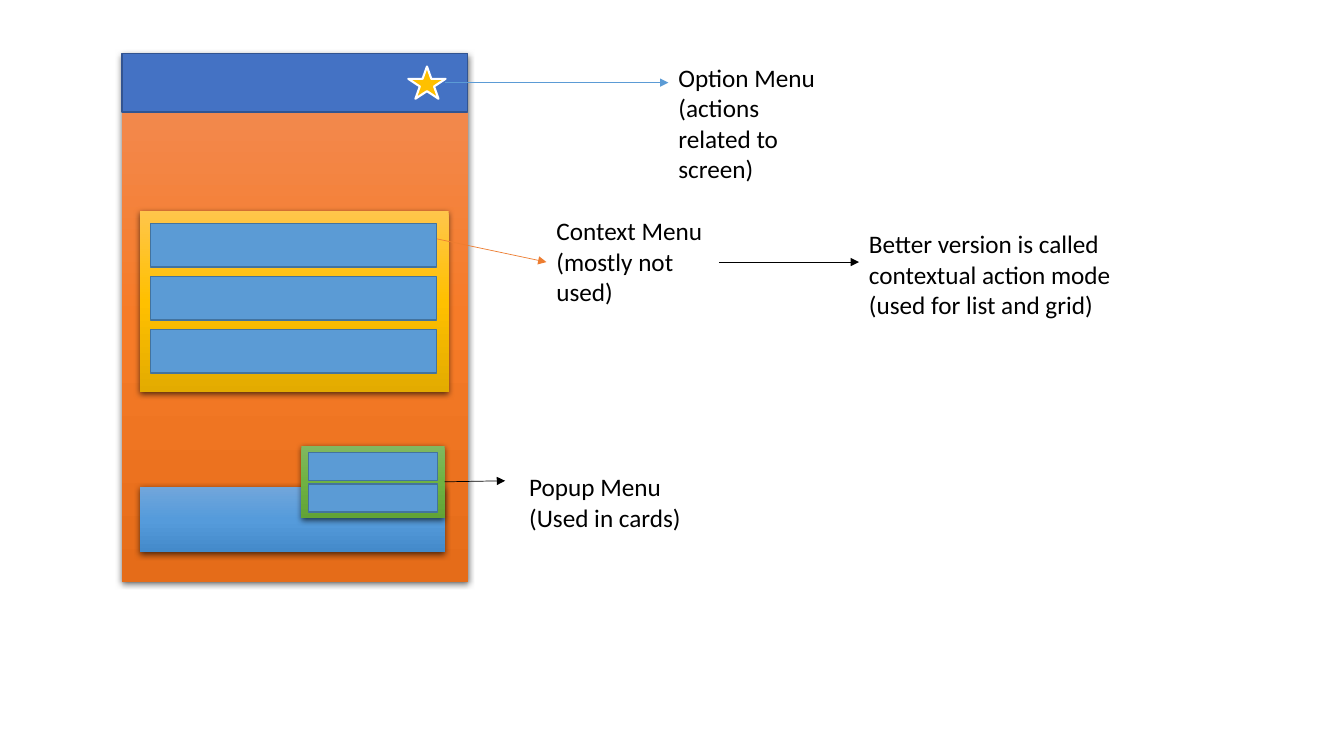
from dataclasses import dataclass
from pptx import Presentation
from pptx.dml.color import RGBColor
from pptx.enum.shapes import MSO_CONNECTOR, MSO_SHAPE
from pptx.enum.text import MSO_AUTO_SIZE
from pptx.oxml import parse_xml
from pptx.oxml.ns import nsdecls
from pptx.util import Inches, Pt

CELL = Inches(0.1)  # one grid column or row


@dataclass(frozen=True)
class Theme:
    font: str = "Calibri"
    size: float = 18
    text: str = "000000"
    bar: tuple = ("4472C4", "325491", 1)  # fill, line, line width
    star: tuple = ("FFC000", "FFFFFF", 1.5)
    item: tuple = ("5B9BD5", "43739E", 1)
    screen: tuple = ("F18C57", "F67B28", "E56C19")  # gradient, top to bottom
    list: tuple = ("FFC64B", "FFC000", "E3AB00")
    card: tuple = ("71A6DB", "559BDB", "448ACA")
    popup: tuple = ("81B861", "6FB242", "62A336")
    option_arrow: str = "5B9BD5"
    context_arrow: str = "ED7D31"
    plain_arrow: str = "000000"
    arrow_width: float = 0.5


T = Theme()


@dataclass(frozen=True)
class Box:
    x: float
    y: float
    w: float
    h: float

    def sub(self, x, y, w, h):
        return Box(self.x + x, self.y + y, w, h)

    def emu(self):
        return [round(v * CELL) for v in (self.x, self.y, self.w, self.h)]


def add_flat(shapes, box, style, kind=MSO_SHAPE.RECTANGLE):
    fill, line, width = style
    s = shapes.add_shape(kind, *box.emu())
    s.shadow.inherit = False
    s.fill.solid()
    s.fill.fore_color.rgb = RGBColor.from_string(fill)
    s.line.color.rgb = RGBColor.from_string(line)
    s.line.width = Pt(width)


def add_panel(shapes, box, colors):
    """Rectangle with a vertical gradient and a soft drop shadow."""
    s = shapes.add_shape(MSO_SHAPE.RECTANGLE, *box.emu())
    s.line.fill.background()
    s.shadow.inherit = False
    spPr = s._element.spPr
    stops = "".join(f'<a:gs pos="{i * 50000}"><a:srgbClr val="{c}"/></a:gs>'
                    for i, c in enumerate(colors))
    spPr.find("./{*}prstGeom").addnext(parse_xml(
        f'<a:gradFill {nsdecls("a")}><a:gsLst>{stops}</a:gsLst>'
        '<a:lin ang="5400000" scaled="0"/></a:gradFill>'))
    spPr.find("./{*}effectLst").append(parse_xml(
        f'<a:outerShdw {nsdecls("a")} blurRad="{Pt(4.5)}" dist="{Pt(1.5)}" '
        'dir="5400000" algn="ctr" rotWithShape="0"><a:srgbClr val="000000">'
        '<a:alpha val="63000"/></a:srgbClr></a:outerShdw>'))


def add_rows(shapes, box, count, pitch):
    for i in range(count):
        add_flat(shapes, box.sub(0, i * pitch, box.w, box.h), T.item)


def add_arrow(shapes, box, start, end, color):
    ends = [round((o + d) * CELL) for p in (start, end)
            for o, d in zip((box.x, box.y), p)]
    s = shapes.add_connector(MSO_CONNECTOR.STRAIGHT, *ends)
    s.line.color.rgb = RGBColor.from_string(color)
    s.line.width = Pt(T.arrow_width)
    s.line._get_or_add_ln().append(
        parse_xml(f'<a:tailEnd {nsdecls("a")} type="triangle"/>'))
    s._element.spPr.append(parse_xml(f'<a:effectLst {nsdecls("a")}/>'))


def add_label(shapes, box, *lines):
    tf = shapes.add_textbox(*box.emu()).text_frame
    tf.word_wrap = True
    tf.auto_size = MSO_AUTO_SIZE.SHAPE_TO_FIT_TEXT
    font = {"name": T.font, "size": Pt(T.size)}
    for i, line in enumerate(lines):
        p = tf.paragraphs[0] if i == 0 else tf.add_paragraph()
        r = p.add_run()
        r.text = line
        r.font.color.rgb = RGBColor.from_string(T.text)
        for name, value in font.items():
            setattr(r.font, name, value)


def option_menu(shapes, box):
    add_flat(shapes, box, T.bar)
    add_flat(shapes, box.sub(28.4, 1.3, 3.7, 3.2), T.star, MSO_SHAPE.STAR_5_POINT)
    add_arrow(shapes, box, (32, 2.9), (54.2, 2.9), T.option_arrow)
    add_label(shapes, box.sub(54.2, 0.4, 17.1, 13.1),
              "Option Menu", "(actions related to screen)")


def context_menu(shapes, box):
    add_panel(shapes, box, T.list)
    # The arrow starts underneath the first row
    add_arrow(shapes, box, (26.6, 2.2), (40.3, 5.1), T.context_arrow)
    add_rows(shapes, box.sub(1, 1.3, box.w - 2.2, 4.3), 3, 5.25)
    add_label(shapes, box.sub(40.3, 0, 17.1, 10.1),
              "Context Menu (mostly not used)")
    # Newer alternative
    add_arrow(shapes, box, (57.4, 5.1), (71.3, 5.1), T.plain_arrow)
    add_label(shapes, box.sub(71.3, 1.3, 30.8, 10.1),
              "Better version is called contextual action mode",
              "(used for list and grid)")


def popup_menu(shapes, box):
    add_panel(shapes, box, T.popup)
    add_rows(shapes, box.sub(0.7, 0.7, box.w - 1.4, 2.8), 2, 3.1)
    add_arrow(shapes, box, (box.w, 3.6), (20.2, 3.5), T.plain_arrow)
    add_label(shapes, box.sub(21.6, 2.1, 17.1, 7.1),
              "Popup Menu", "(Used in cards)")


def phone_screen(shapes, box):
    add_panel(shapes, box, T.screen)
    option_menu(shapes, box.sub(0, 0, box.w, 5.8))
    context_menu(shapes, box.sub(1.8, 15.6, 30.6, 18))
    add_panel(shapes, box.sub(1.8, 43, 30.2, 6.5), T.card)
    popup_menu(shapes, box.sub(17.8, 38.9, 14.2, 7.2))


prs = Presentation()
prs.slide_width, prs.slide_height = Inches(13.33), Inches(7.5)
slide = prs.slides.add_slide(prs.slide_layouts[6])
phone_screen(slide.shapes, Box(12.1, 5.3, 34.3, 52.4))
prs.save("out.pptx")
